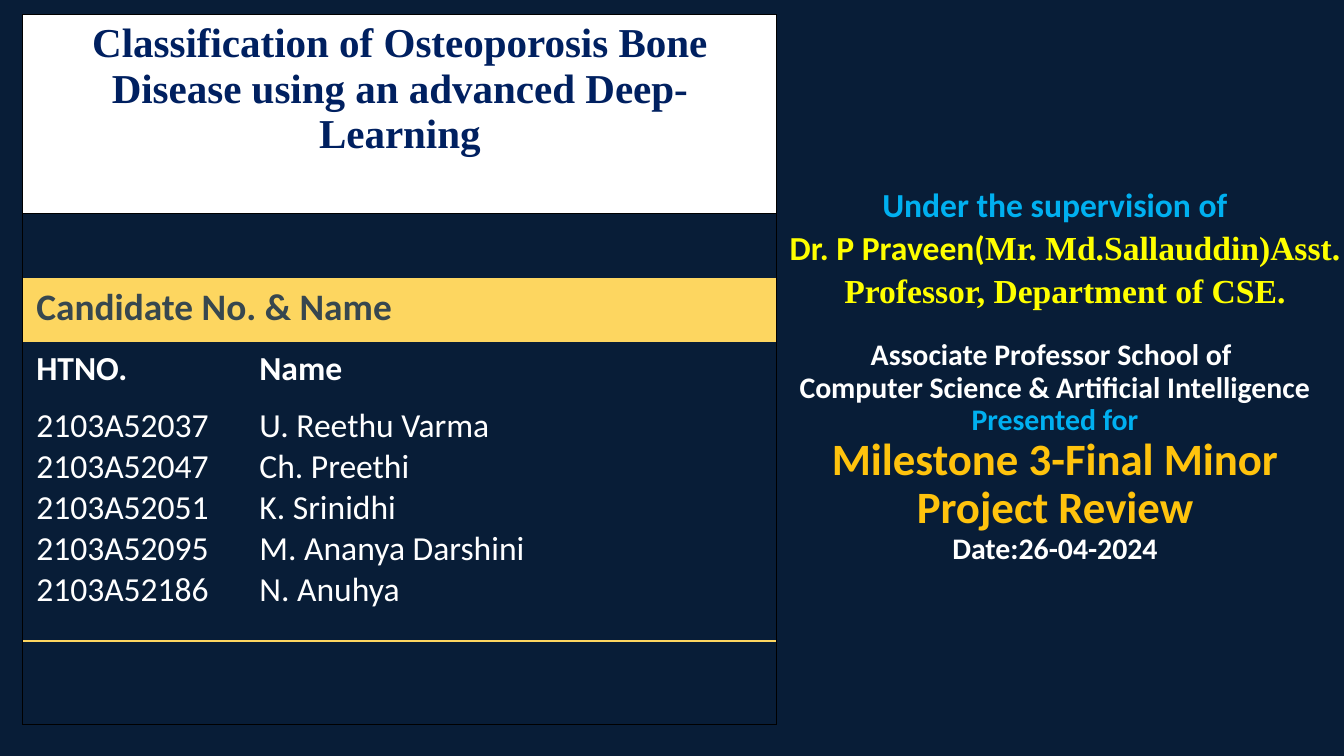
"""Build the title slide of a student project review."""
from lxml.etree import SubElement
from pptx import Presentation
from pptx.dml.color import RGBColor
from pptx.enum.text import MSO_ANCHOR, MSO_AUTO_SIZE, PP_ALIGN
from pptx.oxml.ns import qn
from pptx.util import Inches, Pt

GOLD, WHITE, BLUE, YELLOW = "FDD660", "FFFFFF", "00B0F0", "FFFF00"
SERIF = "Times New Roman"


def write(para, text, size, tint, bold=True, face="Calibri"):
    run = para.add_run()
    run.text = text
    run.font.size = Pt(size)
    run.font.bold = bold
    run.font.name = face
    run.font.color.rgb = RGBColor.from_string(tint)


def dress(cell, sides, line, fill=None):
    props = cell._tc.get_or_add_tcPr()
    for side in "LRTB":
        edge = SubElement(props, qn(f"a:ln{side}"), w=str(Pt(0.75)))
        if side in sides:
            paint = SubElement(edge, qn("a:solidFill"))
            SubElement(paint, qn("a:srgbClr"), val=line)
        else:
            SubElement(edge, qn("a:noFill"))
    if fill:
        cell.fill.solid()
        cell.fill.fore_color.rgb = RGBColor.from_string(fill)
    else:
        cell.fill.background()


deck = Presentation()
deck.slide_width, deck.slide_height = Inches(10), Inches(10) * 9 // 16
slide = deck.slides.add_slide(deck.slide_layouts[2])
slide.background.fill.solid()
slide.background.fill.fore_color.rgb = RGBColor.from_string("081D37")
title = slide.shapes.title.element
title.getparent().remove(title)

body = slide.placeholders[1]
body.left, body.top = Inches(5.62), Inches(1.07)
body.width, body.height = Inches(4.46), Inches(3.71)
frame = body.text_frame
frame.word_wrap = True
frame.auto_size = MSO_AUTO_SIZE.NONE
frame.vertical_anchor = MSO_ANCHOR.MIDDLE
frame.margin_bottom = Inches(0.29)
lines = [
    [("Under the supervision of", 18, BLUE)],
    [("Dr. P Praveen(", 18, YELLOW),
     ("Mr. Md.Sallauddin)Asst. Professor, Department of CSE.", 18, YELLOW, True, SERIF)],
    [("Associate Professor School of", 16, WHITE), (" ", 18, WHITE)],
    [("Computer Science & Artificial Intelligence", 16, WHITE)],
    [("Presented for", 16, BLUE)],
    [("Milestone 3-Final Minor Project Review", 24, "FFC30D")],
    [("Date:26-04-2024", 16, WHITE)],
]
for i, runs in enumerate(lines):
    para = frame.add_paragraph() if i else frame.paragraphs[0]
    para.alignment = PP_ALIGN.CENTER
    para.line_spacing = 0.9
    para.space_before = para.space_after = Pt(0)
    for run in runs:
        write(para, *run)
guide = frame.paragraphs[1]
guide.line_spacing = 1.07
guide.space_after = Pt(13.7)
guide._p.get_or_add_pPr().set("marL", str(Inches(0.15)))

names = slide.shapes.add_table(3, 2, Inches(0.17), Inches(2.07), Inches(5.61), Inches(2.7)).table
cover = slide.shapes.add_table(2, 1, Inches(0.17), Inches(0.11), Inches(5.61), Inches(5.28)).table
for table, widths, heights in [
    (names, [1.66, 3.95], [0.47, 0.43, 1.8]),
    (cover, [5.61], [1.48, 3.8]),
]:
    table.first_row = table.horz_banding = False
    for col, width in zip(table.columns, widths):
        col.width = Inches(width)
    for row, height in zip(table.rows, heights):
        row.height = Inches(height)

head = names.cell(0, 0)
head.merge(names.cell(0, 1))
dress(head, "LRT", GOLD, GOLD)
dress(names.cell(0, 1), "RT", GOLD, GOLD)
write(head.text_frame.paragraphs[0], "Candidate No. & Name", 20, "37474F")

team = [
    ("2103A52037", "U. Reethu Varma"),
    ("2103A52047", "Ch. Preethi"),
    ("2103A52051", "K. Srinidhi"),
    ("2103A52095", "M. Ananya Darshini"),
    ("2103A52186", "N. Anuhya"),
]
for j, (label, side) in enumerate([("HTNO.", "L"), ("Name", "R")]):
    cell = names.cell(1, j)
    dress(cell, side + "TB", GOLD)
    write(cell.text_frame.paragraphs[0], label, 18, WHITE)
    cell = names.cell(2, j)
    dress(cell, side + "B", GOLD)
    for i, pupil in enumerate(team):
        text = cell.text_frame
        para = text.add_paragraph() if i else text.paragraphs[0]
        write(para, pupil[j], 18, WHITE, False)

topic = cover.cell(0, 0)
dress(topic, "LRTB", "000000", WHITE)
dress(cover.cell(1, 0), "LRTB", "000000")
for i, part in enumerate(["Classification of Osteoporosis Bone",
                          "Disease using an advanced Deep-Learning"]):
    text = topic.text_frame
    para = text.add_paragraph() if i else text.paragraphs[0]
    para.alignment = PP_ALIGN.CENTER
    write(para, part, 22, "002060", True, SERIF)

deck.save("out.pptx")
